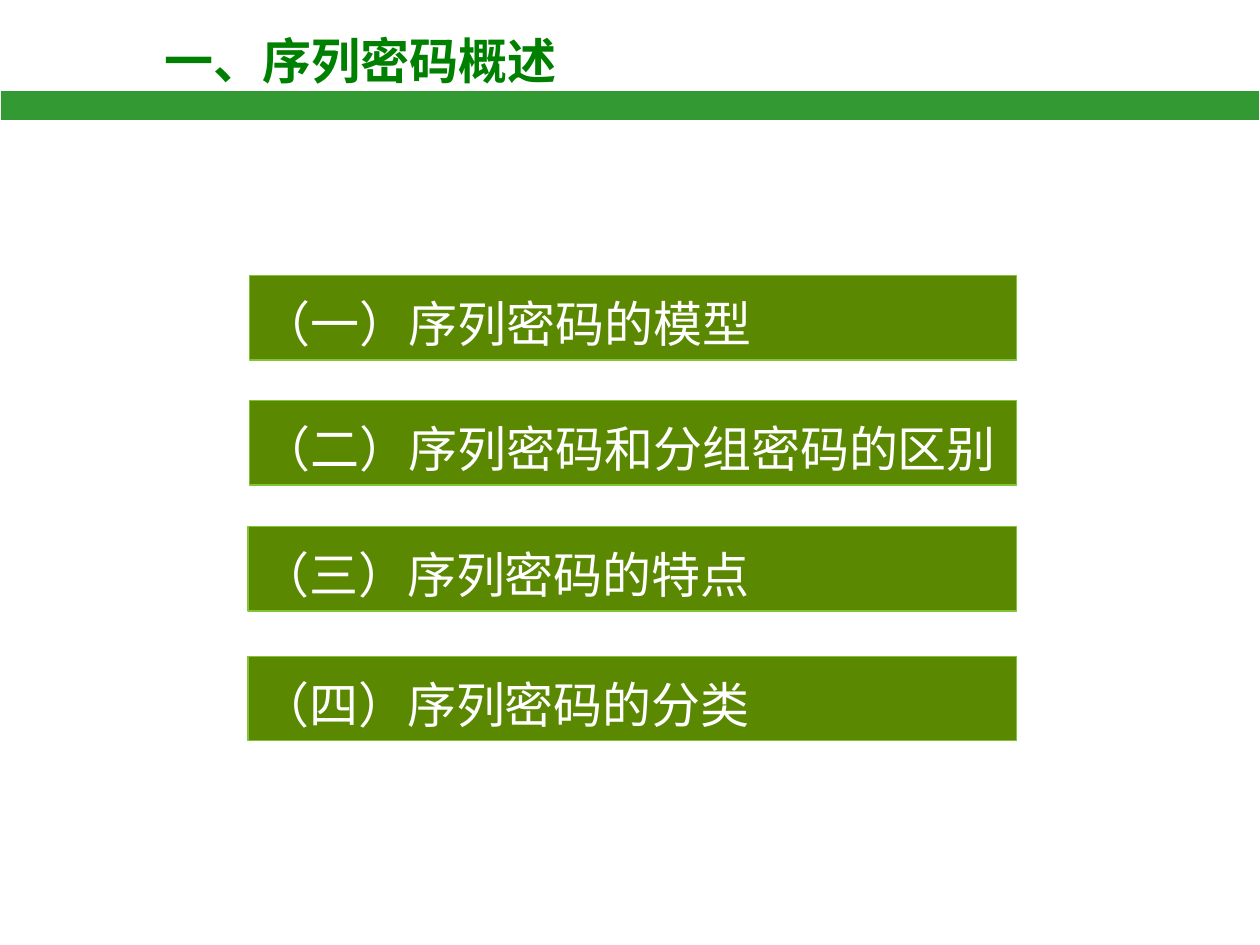
from lxml import etree
from pptx import Presentation
from pptx.dml.color import RGBColor
from pptx.enum.shapes import MSO_SHAPE as Shape
from pptx.enum.text import MSO_ANCHOR as Anchor, PP_ALIGN as Align
from pptx.oxml.ns import qn
from pptx.util import Cm, Pt


def color(code):
    return RGBColor.from_string(code)


def bar(left, top, width, high, fill, line):
    box = slide.shapes.add_shape(
        Shape.RECTANGLE, Cm(left), Cm(top), Cm(width), Cm(high))
    box.shadow.inherit = False
    box.fill.solid()
    box.fill.fore_color.rgb = color(fill)
    box.line.color.rgb = color(line)
    box.line.width = Pt(0.75)
    return box


deck = Presentation()
deck.slide_width, deck.slide_height = Cm(25.4), Cm(19.05)
slide = deck.slides.add_slide(deck.slide_layouts[6])

# Title
title = slide.shapes.add_textbox(Cm(3.07), Cm(0.5), Cm(11.35), Cm(1.45))
title.text_frame.word_wrap = True
run = title.text_frame.paragraphs[0].add_run()
run.text = "一、序列密码概述"
run.font.name = "Noto Sans CJK SC"
run.font.size = Pt(28)
run.font.bold = True
run.font.color.rgb = color("008000")
east = etree.SubElement(run.font._element, qn("a:ea"))
east.set("typeface", "Noto Sans CJK SC")

# Green band under the title
bar(0, 1.83, 25.4, 0.6, "339933", "FFFFFF")

# Topic bars, sharing one right edge
right = 20.5
topics = [
    (5.03, 5.56, "（一）序列密码的模型"),
    (5.03, 8.08, "（二）序列密码和分组密码的区别"),
    (5.0, 10.62, "（三）序列密码的特点"),
    (5.0, 13.23, "（四）序列密码的分类"),
]
for left, top, text in topics:
    box = bar(left, top, right - left, 1.7, "5A8800", "80C535")
    frame = box.text_frame
    frame.word_wrap = True
    frame.vertical_anchor = Anchor.TOP
    para = frame.paragraphs[0]
    para.alignment = Align.LEFT
    para.line_spacing = 1.2
    run = para.add_run()
    run.text = text
    run.font.name = "Times New Roman"
    run.font.size = Pt(28)
    run.font.color.rgb = color("FFFFFF")

deck.save("out.pptx")
